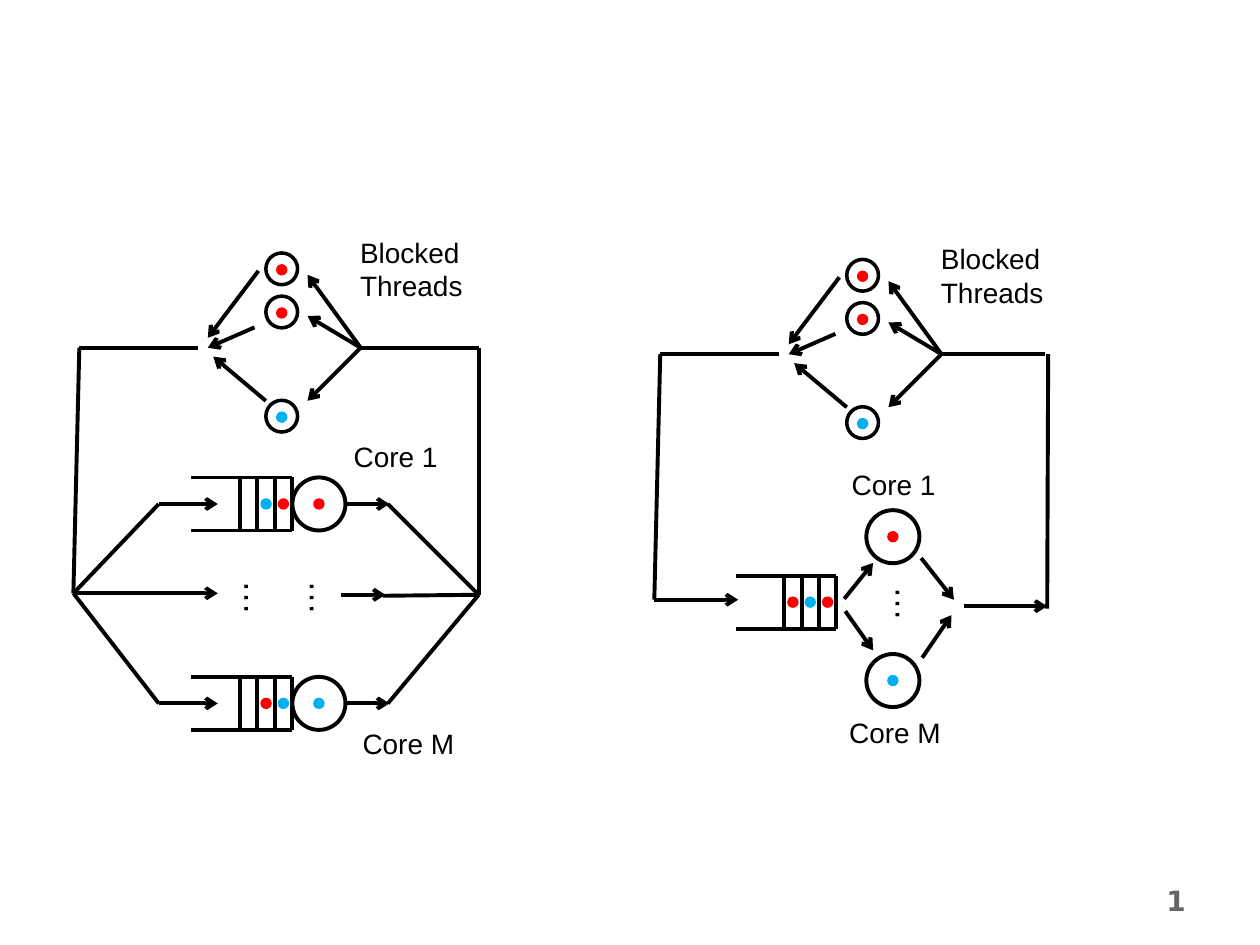
from lxml.etree import SubElement
from pptx import Presentation
from pptx.dml.color import RGBColor
from pptx.enum.shapes import MSO_CONNECTOR, MSO_SHAPE
from pptx.enum.text import MSO_AUTO_SIZE, PP_ALIGN
from pptx.oxml.ns import qn
from pptx.util import Cm, Pt

BLACK, RED, BLUE, GREY = "000000", "FF0000", "00B0F0", "666666"
THREAD_SIZE, CORE_SIZE, DOT_SIZE = 0.64, 1.07, 0.23
QUEUE_LENGTH, QUEUE_HEIGHT, CELL_WIDTH = 2.03, 1.07, 0.35


def color(hex_string):
    return RGBColor.from_string(hex_string)


class Diagram:
    """Draws on one slide in one style; all positions are in centimetres."""

    def __init__(self, slide):
        self.slide = slide
        self.font = "Arial"
        self.line_width = 2.25

    def line(self, start, end, arrow=False):
        connector = self.slide.shapes.add_connector(
            MSO_CONNECTOR.STRAIGHT, *(Cm(value) for value in (*start, *end)))
        connector.line.color.rgb = color(BLACK)
        connector.line.width = Pt(self.line_width)
        if arrow:
            SubElement(connector.line._get_or_add_ln(), qn("a:tailEnd"), type="arrow")
        SubElement(connector._element.spPr, qn("a:effectLst"))

    def arrow(self, start, end):
        self.line(start, end, arrow=True)

    def path_through(self, *points):
        for start, end in zip(points, points[1:]):
            self.line(start, end)

    def circle(self, x, y, size, fill=None, line_width=None):
        """Circle centred on (x, y): filled without outline, or outlined only."""
        shape = self.slide.shapes.add_shape(
            MSO_SHAPE.OVAL, Cm(x - size / 2), Cm(y - size / 2), Cm(size), Cm(size))
        shape.shadow.inherit = False
        if fill:
            shape.fill.solid()
            shape.fill.fore_color.rgb = color(fill)
            shape.line.fill.background()
        else:
            shape.fill.background()
            shape.line.color.rgb = color(BLACK)
            shape.line.width = Pt(line_width or self.line_width)

    def dot(self, x, y, fill):
        self.circle(x, y, DOT_SIZE, fill)

    def text(self, text, left, top, width, height, size=16, rotation=0):
        box = self.slide.shapes.add_textbox(Cm(left), Cm(top), Cm(width), Cm(height))
        box.rotation = rotation
        frame = box.text_frame
        frame.word_wrap = False
        frame.auto_size = MSO_AUTO_SIZE.SHAPE_TO_FIT_TEXT
        paragraph = frame.paragraphs[0]
        paragraph.text = text
        for run in paragraph.runs:
            run.font.name = self.font
            run.font.size = Pt(size)
            run.font.color.rgb = color(BLACK)
        return paragraph

    def ellipsis(self, left, top):
        self.text("…", left, top, 1.22, 1.09, size=20, rotation=90)

    def page_number(self, number):
        paragraph = self.text(number, 22.2, 17.68, 3.02, 1.32)
        paragraph.alignment = PP_ALIGN.CENTER
        font = paragraph.runs[0].font
        font.name = "DejaVu Sans"
        font.bold = True
        font.color.rgb = color(GREY)

    def core(self, x, y, fill):
        self.circle(x, y, CORE_SIZE)
        self.dot(x, y, fill)

    def queue(self, left, middle, fills):
        """Queue open on the left; fills are listed from the right-hand end."""
        right = left + QUEUE_LENGTH
        top, bottom = middle - QUEUE_HEIGHT / 2, middle + QUEUE_HEIGHT / 2
        for y in (top, bottom):
            self.line((left, y), (right, y))
        for index in range(4):
            x = right - index * CELL_WIDTH
            self.line((x, top), (x, bottom))
        for index, fill in enumerate(fills):
            self.dot(right - (index + 0.5) * CELL_WIDTH, middle, fill)

    def blocked_threads(self, x, y, right_reach):
        """Blocked threads around (x, y) with the lines leading in and out."""
        def at(across, down):
            return x + across, y + down

        for down, fill in ((-1.59, RED), (-0.72, RED), (1.38, BLUE)):
            self.circle(*at(0, down), THREAD_SIZE, line_width=2)
            self.dot(*at(0, down + 0.02), fill)
        fork = at(1.59, 0)
        for down in (-1.47, -0.64, 1.07):
            self.arrow(fork, at(0.52, down))
        self.arrow(at(-0.47, -1.55), at(-1.49, -0.2))
        self.arrow(at(-0.55, -0.41), at(-1.49, 0))
        self.arrow(at(-0.32, 1.07), at(-1.38, 0.18))
        self.path_through(at(-1.69, 0), at(-4.08, 0), at(-4.2, 4.95))
        self.line(at(right_reach, 0), fork)
        self.text("Blocked\nThreads", *at(1.33, -2.39), 2.59, 1.63)


def draw_queue_per_core(diagram):
    diagram.blocked_threads(5.68, 7.01, 3.98)
    split, merge = (1.48, 11.96), (9.65, 11.99)
    diagram.line(merge, (9.65, 7.01))
    for y, core_fill, queue_fills in ((10.16, RED, (RED, BLUE)),
                                      (14.18, BLUE, (BLUE, RED))):
        diagram.queue(3.86, y, queue_fills)
        diagram.core(6.43, y, core_fill)
        diagram.line(split, (3.2, y))
        diagram.arrow((3.2, y), (4.39, y))
        diagram.arrow((6.96, y), (7.85, y))
        diagram.line((7.82, y), merge)
    diagram.arrow(split, (4.39, 11.96))
    diagram.arrow((6.88, 11.99), (7.77, 11.99))
    diagram.line((7.72, 12.01), merge)
    for left in (4.6, 5.92):
        diagram.ellipsis(left, 11.51)
    diagram.text("Core 1", 6.88, 8.74, 2.24, 0.94)
    diagram.text("Core M", 7.06, 14.53, 2.39, 0.94)


def draw_shared_queue(diagram):
    diagram.blocked_threads(17.39, 7.14, 3.67)
    diagram.line((21.11, 12.27), (21.13, 7.14))
    diagram.queue(14.83, 12.14, (RED, BLUE, RED))
    diagram.core(18, 10.82, RED)
    diagram.core(18, 13.72, BLUE)
    diagram.ellipsis(17.73, 11.63)
    for start, end in (((13.19, 12.09), (14.88, 12.09)),
                       ((17.02, 12.07), (17.6, 11.35)),
                       ((17.04, 12.32), (17.6, 13.11)),
                       ((18.57, 11.25), (19.23, 12.09)),
                       ((18.59, 13.26), (19.18, 12.4)),
                       ((19.43, 12.22), (21.11, 12.22))):
        diagram.arrow(start, end)
    diagram.text("Core 1", 16.92, 9.3, 2.24, 0.94)
    diagram.text("Core M", 16.87, 14.3, 2.39, 0.94)


def main():
    presentation = Presentation()
    presentation.slide_width, presentation.slide_height = Cm(25.4), Cm(19.05)
    diagram = Diagram(presentation.slides.add_slide(presentation.slide_layouts[6]))
    draw_queue_per_core(diagram)
    draw_shared_queue(diagram)
    diagram.page_number("1")
    presentation.save("out.pptx")


if __name__ == "__main__":
    main()
